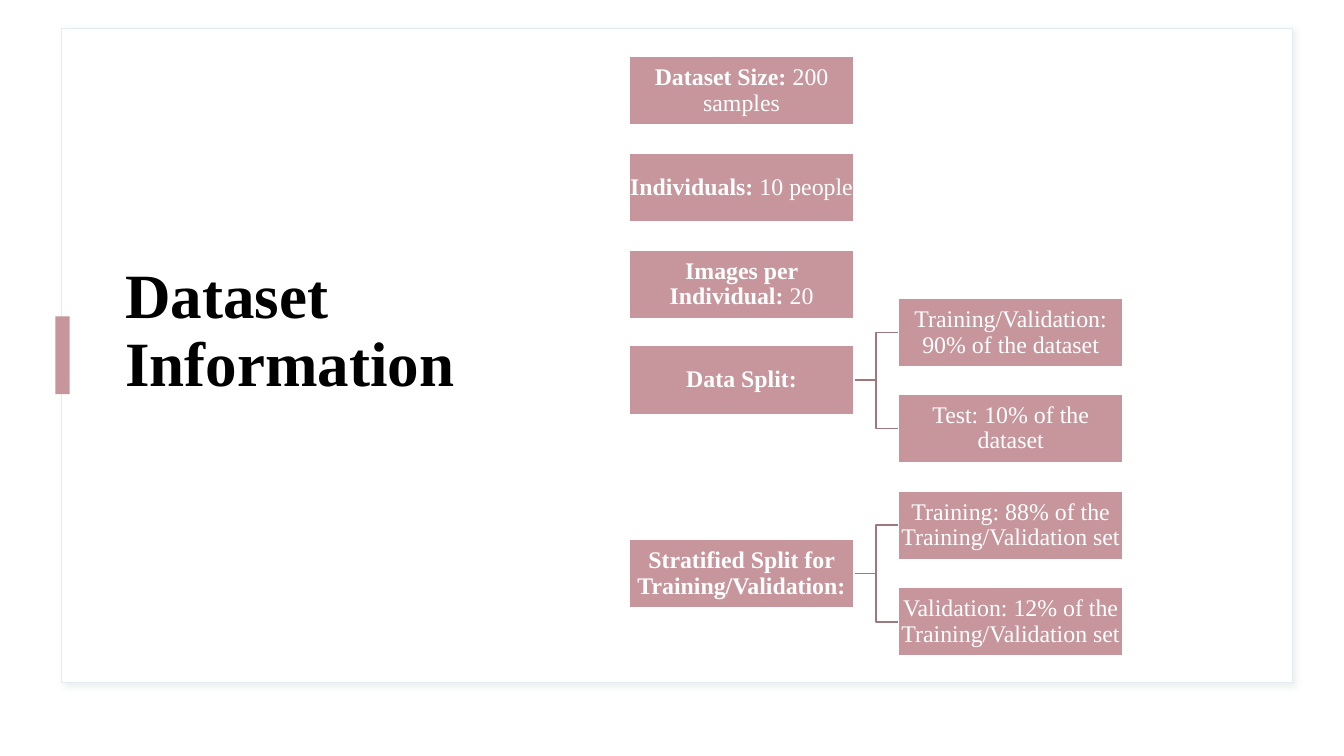
import pptx
import pptx.dml.color
import pptx.enum.shapes
import pptx.enum.text
import pptx.oxml
import pptx.oxml.ns
import pptx.util

PIXEL = 9144
WHITE = pptx.dml.color.RGBColor(0xFF, 0xFF, 0xFF)
BLACK = pptx.dml.color.RGBColor(0x00, 0x00, 0x00)
ROSE = pptx.dml.color.RGBColor(0xC6, 0x96, 0x9C)
DARK_ROSE = pptx.dml.color.RGBColor(0x9F, 0x78, 0x7D)
FRAME_LINE = pptx.dml.color.RGBColor(0xE5, 0xEC, 0xF0)
FRAME_SHADOW = pptx.dml.color.RGBColor(0xBC, 0xCA, 0xC7)

BOX_WIDTH, BOX_HEIGHT = 223, 68
FACT_LEFT, DETAIL_LEFT = 624, 891
FIRST_TOP, HALF_ROW = 56, 47.9

FACTS = [
    (0, "Dataset Size:", " 200 samples", []),
    (2, "Individuals:", " 10 people", []),
    (4, "Images per Individual:", " 20", []),
    (6, "Data Split:", "", [
        (5, "Training/Validation: 90% of the dataset"),
        (7, "Test: 10% of the dataset"),
    ]),
    (10, "Stratified Split for Training/Validation:", "", [
        (9, "Training: 88% of the Training/Validation set"),
        (11, "Validation: 12% of the Training/Validation set"),
    ]),
]


def px(length):
    return pptx.util.Emu(length * PIXEL)


def row_top(half_rows):
    return FIRST_TOP + round(half_rows * HALF_ROW)


def add_run(paragraph, text, size=17, color=WHITE, bold=False, font="Times New Roman"):
    run = paragraph.add_run()
    run.text = text
    run.font.name = font
    run.font.size = pptx.util.Pt(size)
    run.font.bold = bold
    run.font.color.rgb = color


class SlideBuilder:
    def __init__(self, presentation):
        self.slide = presentation.slides.add_slide(presentation.slide_layouts[5])
        self.shapes = self.slide.shapes

    def rectangle(self, left, top, width, height, fill, line=None):
        shape = self.shapes.add_shape(
            pptx.enum.shapes.MSO_SHAPE.RECTANGLE,
            px(left), px(top), px(width), px(height))
        shape.shadow.inherit = False
        shape.fill.solid()
        shape.fill.fore_color.rgb = fill
        if line is None:
            shape.line.fill.background()
        else:
            shape.line.color.rgb = line
            shape.line.width = pptx.util.Pt(1)
        return shape

    def frame(self, left, top, width, height):
        shape = self.rectangle(left, top, width, height, WHITE, FRAME_LINE)
        effects = shape._element.spPr.find(pptx.oxml.ns.qn("a:effectLst"))
        effects.append(pptx.oxml.parse_xml(
            f'<a:outerShdw {pptx.oxml.ns.nsdecls("a")} blurRad="50800" dist="38100" '
            f'dir="2700000" algn="tl" rotWithShape="0"><a:srgbClr val="{FRAME_SHADOW}">'
            '<a:alpha val="30000"/></a:srgbClr></a:outerShdw>'))

    def title(self, left, top, width, height, text, bottom_margin):
        title = self.shapes.title
        title.left, title.top = px(left), px(top)
        title.width, title.height = px(width), px(height)
        self.shapes._spTree.append(title._element)
        text_frame = title.text_frame
        text_frame.word_wrap = True
        text_frame.auto_size = pptx.enum.text.MSO_AUTO_SIZE.NONE
        text_frame.vertical_anchor = pptx.enum.text.MSO_ANCHOR.MIDDLE
        text_frame.margin_bottom = px(bottom_margin)
        paragraph = text_frame.paragraphs[0]
        paragraph.alignment = pptx.enum.text.PP_ALIGN.LEFT
        paragraph.line_spacing = 0.9
        add_run(paragraph, text, size=45, color=BLACK, bold=True)

    def box(self, left, top, label, value):
        shape = self.rectangle(left, top, BOX_WIDTH, BOX_HEIGHT, ROSE, WHITE)
        text_frame = shape.text_frame
        text_frame.word_wrap = True
        text_frame.vertical_anchor = pptx.enum.text.MSO_ANCHOR.MIDDLE
        text_frame.margin_left = text_frame.margin_right = px(1)
        text_frame.margin_top = text_frame.margin_bottom = px(1)
        paragraph = text_frame.paragraphs[0]
        paragraph.alignment = pptx.enum.text.PP_ALIGN.CENTER
        paragraph.line_spacing = 0.9
        if label:
            add_run(paragraph, label, bold=True)
        if value:
            add_run(paragraph, value)

    def branch(self, fact_top, detail_top):
        start_x, end_x = FACT_LEFT + BOX_WIDTH, DETAIL_LEFT
        start_y, end_y = fact_top + BOX_HEIGHT // 2, detail_top + BOX_HEIGHT // 2
        middle_x = (start_x + end_x) // 2
        builder = self.shapes.build_freeform(start_x, start_y, scale=PIXEL)
        builder.add_line_segments(
            [(middle_x, start_y), (middle_x, end_y), (end_x, end_y)], close=False)
        shape = builder.convert_to_shape()
        shape.shadow.inherit = False
        shape.fill.background()
        shape.line.color.rgb = DARK_ROSE
        shape.line.width = pptx.util.Pt(1)


def main():
    presentation = pptx.Presentation()
    presentation.slide_width = px(1333)
    presentation.slide_height = px(750)
    builder = SlideBuilder(presentation)
    builder.frame(61, 28, 1221, 649)
    builder.title(114, 55, 372, 595, "Dataset Information", bottom_margin=51)
    builder.rectangle(55, 314, 14, 77, ROSE)
    for row, label, value, details in FACTS:
        for detail_row, detail in details:
            builder.branch(row_top(row), row_top(detail_row))
            builder.box(DETAIL_LEFT, row_top(detail_row), "", detail)
        builder.box(FACT_LEFT, row_top(row), label, value)
    presentation.save("out.pptx")


if __name__ == "__main__":
    main()
